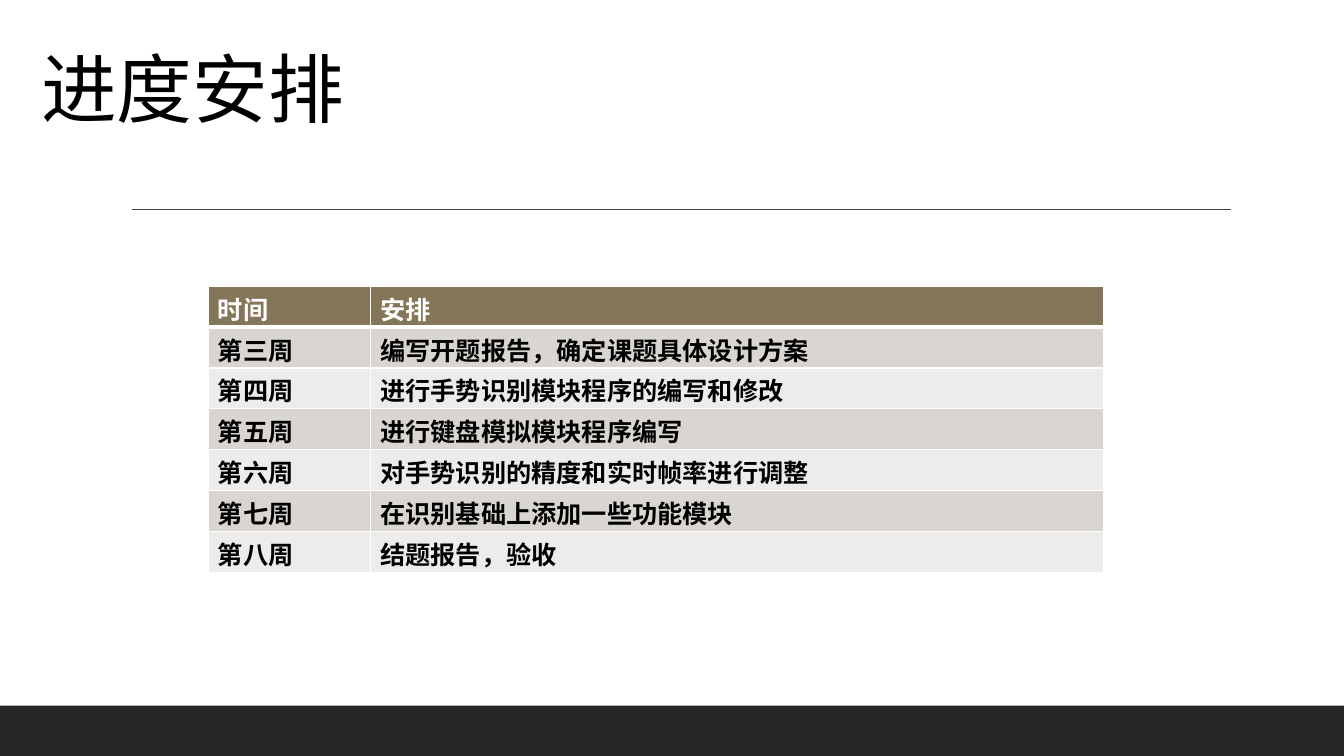
from pptx import Presentation, util as u
from pptx.dml.color import RGBColor
from pptx.enum import shapes, text
from pptx.oxml import parse_xml
from pptx.oxml.ns import nsdecls, qn

CJK_FONT = "Noto Sans CJK SC"
SCHEDULE = [
    ("时间", "安排"),
    ("第三周", "编写开题报告，确定课题具体设计方案"),
    ("第四周", "进行手势识别模块程序的编写和修改"),
    ("第五周", "进行键盘模拟模块程序编写"),
    ("第六周", "对手势识别的精度和实时帧率进行调整"),
    ("第七周", "在识别基础上添加一些功能模块"),
    ("第八周", "结题报告，验收"),
]
COLUMN_WIDTHS = (116, 524)
HEADER_HEIGHT, ROW_HEIGHT = 28.8, 29.2
HEADER_FILL, BAND_FILLS = "857659", ("EDECEA", "D9D6D1")


def color(value):
    """Turn a hex string into a colour."""
    return RGBColor.from_string(value)


def write(frame, words, *, size, font, fill, bold=False, spacing=1.0):
    """Put one formatted left-aligned paragraph into a text frame."""
    para = frame.paragraphs[0]
    para.alignment = text.PP_ALIGN.LEFT
    para.line_spacing = spacing
    span = para.add_run()
    span.text = words
    span.font.size = u.Pt(size)
    span.font.name = font
    span.font.bold = bold
    span.font.color.rgb = color(fill)
    east_asian = parse_xml(f'<a:ea {nsdecls("a")} typeface="{CJK_FONT}"/>')
    span.font._element.find(qn("a:latin")).addnext(east_asian)


def add_title(page, words):
    """Fill and place the title placeholder."""
    title = page.shapes.title
    title.left, title.top = u.Pt(22.3), u.Pt(33.8)
    title.width, title.height = u.Pt(480), u.Pt(138)
    frame = title.text_frame
    frame.word_wrap = True
    frame.auto_size = text.MSO_AUTO_SIZE.NONE
    frame.vertical_anchor = text.MSO_ANCHOR.TOP
    write(frame, words, size=54, font=CJK_FONT, fill="000000", spacing=0.9)


def add_footer_band(page):
    """Draw the dark band along the bottom edge."""
    band = page.shapes.add_shape(
        shapes.MSO_SHAPE.RECTANGLE, u.Pt(0), u.Pt(504), u.Pt(960), u.Pt(36))
    band.shadow.inherit = False
    band.fill.solid()
    band.fill.fore_color.rgb = color("262626")
    band.line.fill.background()


def add_rule(page, left, right, top):
    """Draw the thin horizontal rule under the title."""
    rule = page.shapes.add_connector(
        shapes.MSO_CONNECTOR.STRAIGHT, u.Pt(left), u.Pt(top), u.Pt(right), u.Pt(top))
    rule.line.color.rgb = color("404040")
    rule.line.width = u.Pt(1)
    rule._element.spPr.append(parse_xml(f'<a:effectLst {nsdecls("a")}/>'))


def set_borders(cell, **widths):
    """Give a cell white borders with widths in points for L, R, T and B."""
    properties = cell._tc.get_or_add_tcPr()
    for side, width in widths.items():
        properties.append(parse_xml(
            f'<a:ln{side} {nsdecls("a")} w="{u.Pt(width)}"><a:solidFill>'
            f'<a:srgbClr val="FFFFFF"/></a:solidFill></a:ln{side}>'))


def fill_cell(cell, words, row):
    """Write and format one schedule cell."""
    cell.margin_left = cell.margin_right = u.Pt(7.2)
    cell.margin_top, cell.margin_bottom = u.Pt(2.7), u.Pt(0)
    cell.vertical_anchor = text.MSO_ANCHOR.TOP
    header = row == 0
    set_borders(cell, L=1, R=1, T=3 if row == 1 else 1, B=3 if header else 1)
    cell.fill.solid()
    cell.fill.fore_color.rgb = color(HEADER_FILL if header else BAND_FILLS[row % 2])
    write(cell.text_frame, words, size=18, font="Karla", bold=True,
          fill="FFFFFF" if header else "000000")


def add_schedule(page):
    """Add the table of weeks and tasks."""
    height = HEADER_HEIGHT + ROW_HEIGHT * (len(SCHEDULE) - 1)
    table = page.shapes.add_table(
        len(SCHEDULE), len(COLUMN_WIDTHS), u.Pt(148.5), u.Pt(204.8),
        u.Pt(sum(COLUMN_WIDTHS)), u.Pt(height)).table
    for column, width in zip(table.columns, COLUMN_WIDTHS):
        column.width = u.Pt(width)
    for row, entries in enumerate(SCHEDULE):
        table.rows[row].height = u.Pt(ROW_HEIGHT if row else HEADER_HEIGHT)
        for column, words in enumerate(entries):
            fill_cell(table.cell(row, column), words, row)


def main():
    """Build and save the schedule slide."""
    deck = Presentation()
    deck.slide_width, deck.slide_height = u.Pt(960), u.Pt(540)
    page = deck.slides.add_slide(deck.slide_layouts[5])
    add_footer_band(page)
    add_rule(page, left=94.3, right=879, top=149.5)
    add_title(page, "进度安排")
    add_schedule(page)
    deck.save("out.pptx")


if __name__ == "__main__":
    main()
